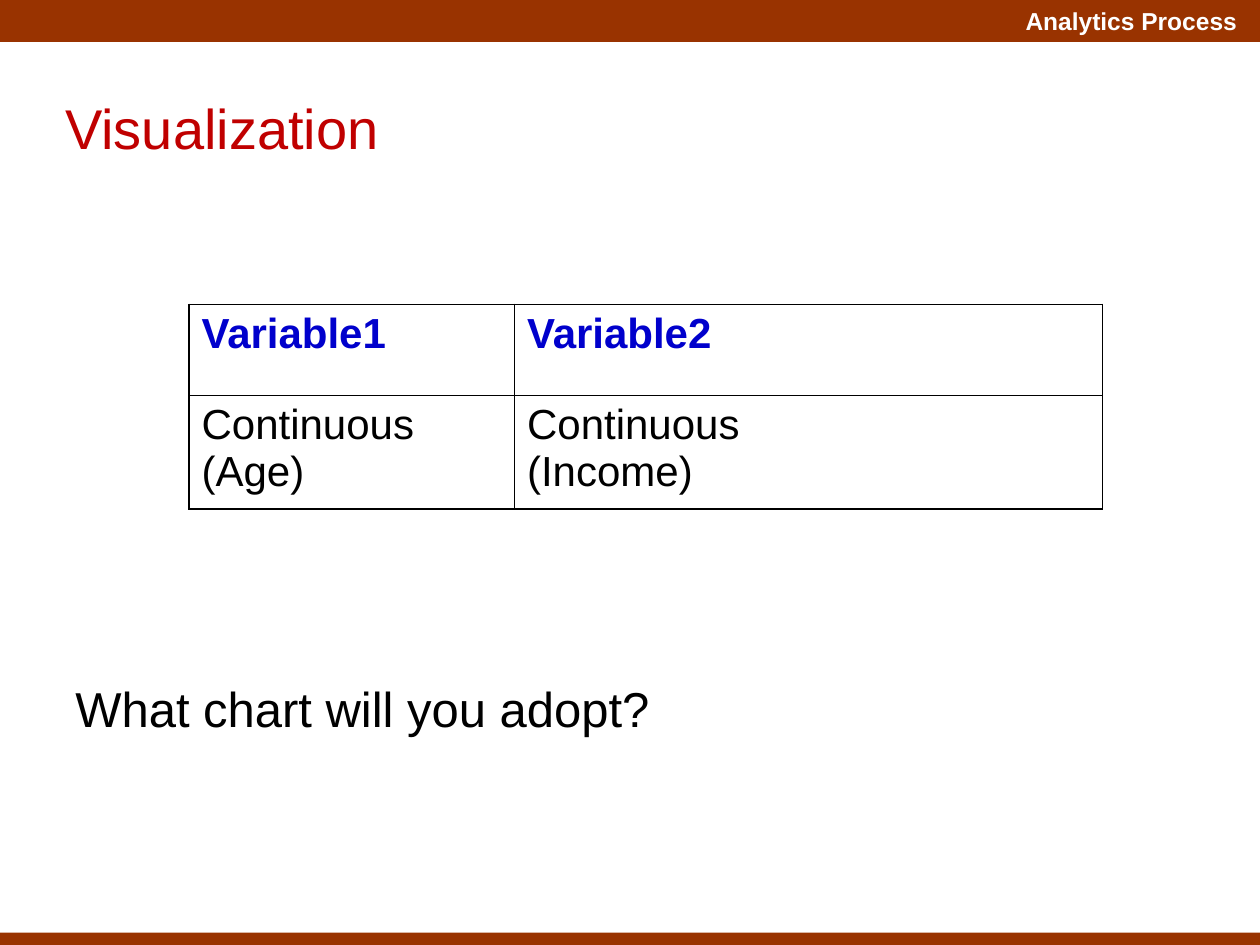
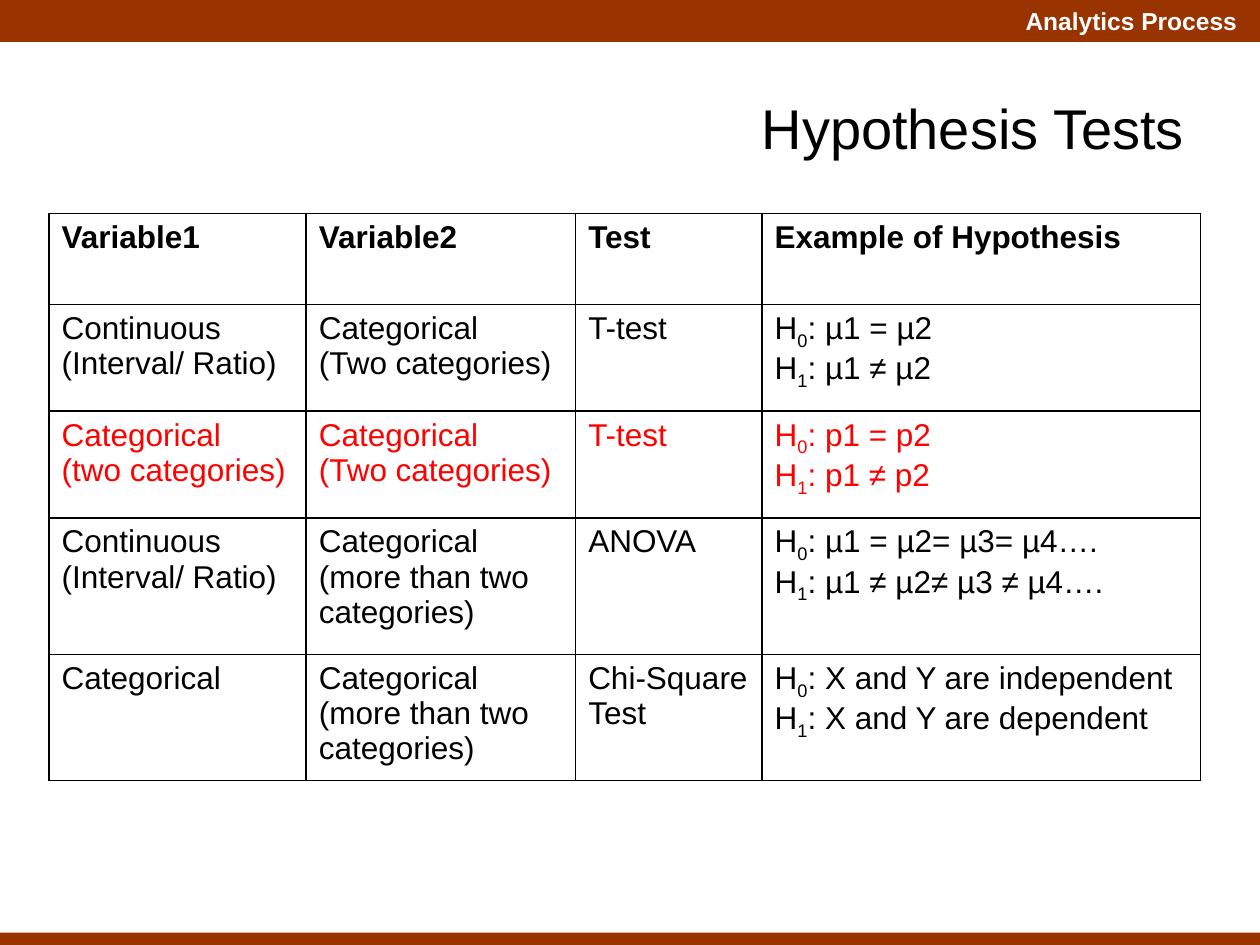
"""Build two slides on charting and testing pairs of variables."""
from lxml.etree import SubElement
from pptx import Presentation
from pptx.dml.color import RGBColor
from pptx.enum.shapes import MSO_SHAPE
from pptx.enum.text import MSO_ANCHOR, PP_ALIGN
from pptx.oxml.ns import qn
from pptx.util import Pt

COLOURS = {
    "band": "993300",
    "white": "FFFFFF",
    "black": "000000",
    "heading": "C00000",
    "variable": "0000CC",
    "highlight": "FF0000",
}
FONT = "Arial"
WIDTH, HEIGHT = 720, 540
BAND_HEIGHT, FOOTER_HEIGHT = 24, 7
RUNNING_HEAD = "Analytics Process"
QUESTION = "What chart will you adopt?"
SUBSCRIPT_MARK = "|"

SLIDES = [
    {
        "title": "Visualization",
        "title_left": 30,
        "title_align": PP_ALIGN.LEFT,
        "title_colour": "heading",
        "table_at": (108, 174),
        "columns": [186, 336],
        "heights": [52, 65],
        "size": 24,
        "row_colours": ["variable", "black"],
        "rows": [
            ["Variable1", "Variable2"],
            ["Continuous\n(Age)", "Continuous\n(Income)"],
        ],
        "question": QUESTION,
    },
    {
        "title": "Hypothesis Tests",
        "title_left": 180,
        "title_align": PP_ALIGN.RIGHT,
        "title_colour": "black",
        "table_at": (28, 122),
        "columns": [147, 154, 106.5, 250.5],
        "heights": [52, 61, 61, 78, 72],
        "size": 18,
        "row_colours": ["black", "black", "highlight", "black", "black"],
        "rows": [
            ["Variable1", "Variable2", "Test", "Example of Hypothesis"],
            ["Continuous (Interval/ Ratio)", "Categorical\n(Two categories)", "T-test",
             "H|0|: µ1 = µ2\nH|1|: µ1 ≠ µ2"],
            ["Categorical\n(two categories)", "Categorical\n(Two categories)", "T-test",
             "H|0|: p1 = p2\nH|1|: p1 ≠ p2"],
            ["Continuous (Interval/ Ratio)", "Categorical\n(more than two categories)", "ANOVA",
             "H|0|: µ1 = µ2= µ3= µ4….\nH|1|: µ1 ≠ µ2≠ µ3 ≠ µ4…."],
            ["Categorical", "Categorical\n(more than two categories)", "Chi-Square Test",
             "H|0|: X and Y are independent\nH|1|: X and Y are dependent"],
        ],
    },
]


def rgb(colour):
    return RGBColor.from_string(COLOURS[colour])


def format_runs(paragraph, size, colour, bold=False):
    for run in paragraph.runs:
        run.font.name = FONT
        run.font.size = Pt(size)
        run.font.bold = bold
        run.font.color.rgb = rgb(colour)


def add_line(slide, words, box, size, colour, bold=False, align=PP_ALIGN.LEFT):
    frame = slide.shapes.add_textbox(*map(Pt, box)).text_frame
    frame.word_wrap = True
    frame.text = words
    frame.paragraphs[0].alignment = align
    format_runs(frame.paragraphs[0], size, colour, bold)


def add_bands(slide):
    for top, height in ((0, BAND_HEIGHT), (HEIGHT - FOOTER_HEIGHT, FOOTER_HEIGHT)):
        band = slide.shapes.add_shape(MSO_SHAPE.RECTANGLE, 0, Pt(top), Pt(WIDTH), Pt(height))
        band.shadow.inherit = False
        band.fill.solid()
        band.fill.fore_color.rgb = rgb("band")
        band.line.fill.background()
    add_line(slide, RUNNING_HEAD, (413, 0, 301, BAND_HEIGHT), 14, "white", True, PP_ALIGN.RIGHT)


def set_title(slide, content):
    title = slide.shapes.title
    title.left, title.top = Pt(content["title_left"]), Pt(50)
    title.width, title.height = Pt(504), Pt(46)
    title.text_frame.text = content["title"]
    title.text_frame.vertical_anchor = MSO_ANCHOR.TOP
    heading = title.text_frame.paragraphs[0]
    heading.alignment = content["title_align"]
    format_runs(heading, 32, content["title_colour"])


def add_borders(cell):
    properties = cell._tc.get_or_add_tcPr()
    for side in ("lnL", "lnR", "lnT", "lnB"):
        border = SubElement(properties, qn(f"a:{side}"), w=str(Pt(1)))
        fill = SubElement(border, qn("a:solidFill"))
        SubElement(fill, qn("a:srgbClr"), val=COLOURS["black"])


def fill_cell(cell, words, size, colour, bold):
    add_borders(cell)
    cell.fill.background()
    frame = cell.text_frame
    for number, line in enumerate(words.split("\n")):
        paragraph = frame.add_paragraph() if number else frame.paragraphs[0]
        for position, piece in enumerate(line.split(SUBSCRIPT_MARK)):
            run = paragraph.add_run()
            run.text = piece
            if position % 2:
                run._r.get_or_add_rPr().set("baseline", "-25000")
        format_runs(paragraph, size, colour, bold)


def add_variable_table(slide, content):
    columns, heights, rows = content["columns"], content["heights"], content["rows"]
    left, top = content["table_at"]
    table = slide.shapes.add_table(
        len(rows), len(columns), Pt(left), Pt(top), Pt(sum(columns)), Pt(sum(heights))
    ).table
    table.first_row = table.horz_banding = False
    for column, width in zip(table.columns, columns):
        column.width = Pt(width)
    for r, (row, height) in enumerate(zip(rows, heights)):
        table.rows[r].height = Pt(height)
        for c, words in enumerate(row):
            fill_cell(table.cell(r, c), words, content["size"], content["row_colours"][r], r == 0)


def main():
    deck = Presentation()
    deck.slide_width, deck.slide_height = Pt(WIDTH), Pt(HEIGHT)
    title_only = deck.slide_layouts.get_by_name("Title Only")
    for content in SLIDES:
        slide = deck.slides.add_slide(title_only)
        add_bands(slide)
        add_variable_table(slide, content)
        set_title(slide, content)
        if "question" in content:
            add_line(slide, content["question"], (36, 384, 576, 54), 28, "black")
    deck.save("out.pptx")


if __name__ == "__main__":
    main()
